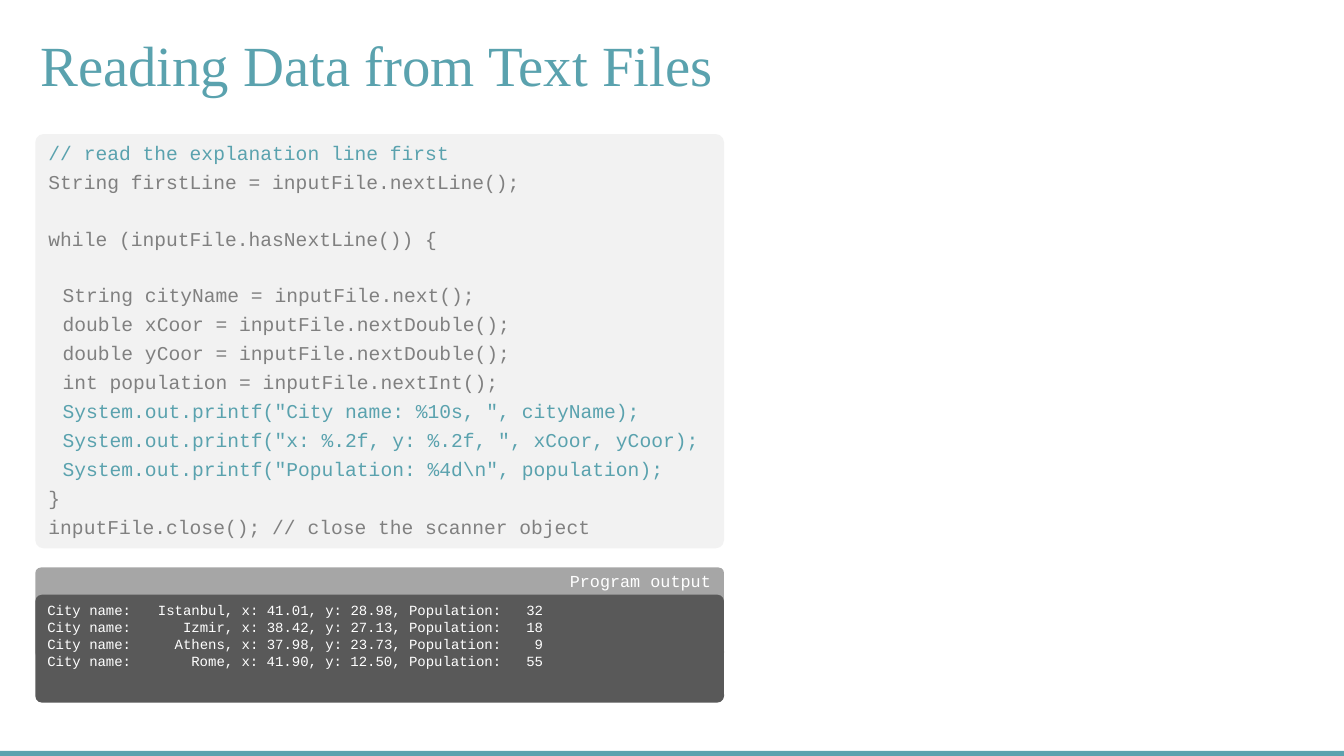
from dataclasses import dataclass

from lxml import etree
from pptx import Presentation
from pptx import util as u
from pptx.dml import color
from pptx.enum import shapes, text
from pptx.oxml import ns


@dataclass(frozen=True)
class Theme:
    accent: str = "5AA2AE"
    code: str = "808080"
    code_panel: str = "F2F2F2"
    header: str = "A6A6A6"
    console: str = "595959"
    light: str = "FFFFFF"
    serif: str = "Times New Roman"
    mono: str = "Courier New"
    title_size: float = 40.5
    code_size: float = 14
    label_size: float = 12
    output_size: float = 10


@dataclass(frozen=True)
class Area:
    """Place on the slide, in percent of its width and height."""
    left: float
    top: float
    width: float
    height: float


@dataclass(frozen=True)
class Panel:
    area: Area
    fill: str
    radius: float = 0


@dataclass(frozen=True)
class Line:
    words: str
    color: str
    level: int = 0
    gap: bool = False


@dataclass(frozen=True)
class TextBlock:
    area: Area
    lines: list[Line]
    font: str
    size: float
    before: float = 0
    spacing: float = 1
    align: text.PP_ALIGN = text.PP_ALIGN.LEFT
    anchor: text.MSO_ANCHOR = text.MSO_ANCHOR.TOP
    tabs: tuple[int, ...] = ()


T = Theme()
WIDTH, HEIGHT = u.Inches(13.33), u.Inches(7.5)
INSET = u.Inches(0.05)
INDENT = u.Inches(0.14)
LINE_HEIGHT = 1.13  # line height of the mono font, in ems
CHAR_WIDTH = 0.6  # character width of the mono font, in ems

PANELS = [
    Panel(Area(0, 99.33, 100, 0.67), T.accent),
    Panel(Area(2.63, 17.73, 51.24, 54.8), T.code_panel, 0.02),
    Panel(Area(2.63, 75.07, 51.24, 12), T.header, 0.06),
    Panel(Area(2.63, 78.67, 51.24, 14.27), T.console, 0.06),
]

CODE = [
    Line("// read the explanation line first", T.accent),
    Line("String firstLine = inputFile.nextLine();", T.code),
    Line("while (inputFile.hasNextLine()) {", T.code, gap=True),
    Line("String cityName = inputFile.next();", T.code, 1, gap=True),
    Line("double xCoor = inputFile.nextDouble();", T.code, 1),
    Line("double yCoor = inputFile.nextDouble();", T.code, 1),
    Line("int population = inputFile.nextInt();", T.code, 1),
    Line('System.out.printf("City name: %10s, ", cityName);', T.accent, 1),
    Line('System.out.printf("x: %.2f, y: %.2f, ", xCoor, yCoor);', T.accent, 1),
    Line('System.out.printf("Population: %4d\\n", population);', T.accent, 1),
    Line("}", T.code),
    Line("inputFile.close(); // close the scanner object", T.code),
]

CITIES = [
    ("Istanbul", 41.01, 28.98, 32),
    ("Izmir", 38.42, 27.13, 18),
    ("Athens", 37.98, 23.73, 9),
    ("Rome", 41.90, 12.50, 55),
]
OUTPUT = [
    Line(f"City name:\t{city}, x: {x:.2f}, y: {y:.2f}, Population:\t{population}", T.light)
    for city, x, y, population in CITIES
]

TEXTS = [
    TextBlock(Area(2.63, 4, 93.32, 10.13), [Line("Reading Data from Text Files", T.accent)],
              T.serif, T.title_size, spacing=0.9, anchor=text.MSO_ANCHOR.MIDDLE),
    TextBlock(Area(3.23, 18, 50.04, 50), CODE, T.mono, T.code_size, before=3.9),
    TextBlock(Area(3.15, 78.93, 50.19, 9.47), OUTPUT, T.mono, T.output_size, tabs=(54, 59)),
    TextBlock(Area(30.91, 74.8, 22.36, 3.87), [Line("Program output", T.light)],
              T.mono, T.label_size, align=text.PP_ALIGN.RIGHT),
]


def to_emu(area: Area) -> tuple[int, int, int, int]:
    return (round(WIDTH * area.left / 100), round(HEIGHT * area.top / 100),
            round(WIDTH * area.width / 100), round(HEIGHT * area.height / 100))


def draw_panel(s, panel: Panel) -> None:
    kind = shapes.MSO_SHAPE.ROUNDED_RECTANGLE if panel.radius else shapes.MSO_SHAPE.RECTANGLE
    sp = s.shapes.add_shape(kind, *to_emu(panel.area))
    if panel.radius:
        sp.adjustments[0] = panel.radius
    sp.shadow.inherit = False
    sp.fill.solid()
    sp.fill.fore_color.rgb = color.RGBColor.from_string(panel.fill)
    sp.line.fill.background()


def set_right_tabs(p, columns: tuple[int, ...], size: float) -> None:
    """Add right-aligned tab stops, given in character columns."""
    tab_list = etree.SubElement(p._p.get_or_add_pPr(), ns.qn("a:tabLst"))
    for column in columns:
        position = u.Pt(column * CHAR_WIDTH * size)
        etree.SubElement(tab_list, ns.qn("a:tab"), pos=str(position), algn="r")


def draw_text(s, block: TextBlock) -> None:
    tf = s.shapes.add_textbox(*to_emu(block.area)).text_frame
    tf.word_wrap = True
    tf.vertical_anchor = block.anchor
    tf.margin_left = tf.margin_right = tf.margin_top = tf.margin_bottom = INSET
    for i, line in enumerate(block.lines):
        p = tf.add_paragraph() if i else tf.paragraphs[0]
        p.text = line.words
        p.alignment = block.align
        p.line_spacing = block.spacing
        skipped = block.before + LINE_HEIGHT * block.size if line.gap else 0
        p.space_before = u.Pt(block.before + skipped)
        if line.level:
            p._p.get_or_add_pPr().set("marL", str(INDENT * line.level))
        if block.tabs:
            set_right_tabs(p, block.tabs, block.size)
        for r in p.runs:
            r.font.name = block.font
            r.font.size = u.Pt(block.size)
            r.font.color.rgb = color.RGBColor.from_string(line.color)


def main() -> None:
    prs = Presentation()
    prs.slide_width, prs.slide_height = WIDTH, HEIGHT
    s = prs.slides.add_slide(prs.slide_layouts[6])
    for panel in PANELS:
        draw_panel(s, panel)
    for block in TEXTS:
        draw_text(s, block)
    prs.save("out.pptx")


if __name__ == "__main__":
    main()
